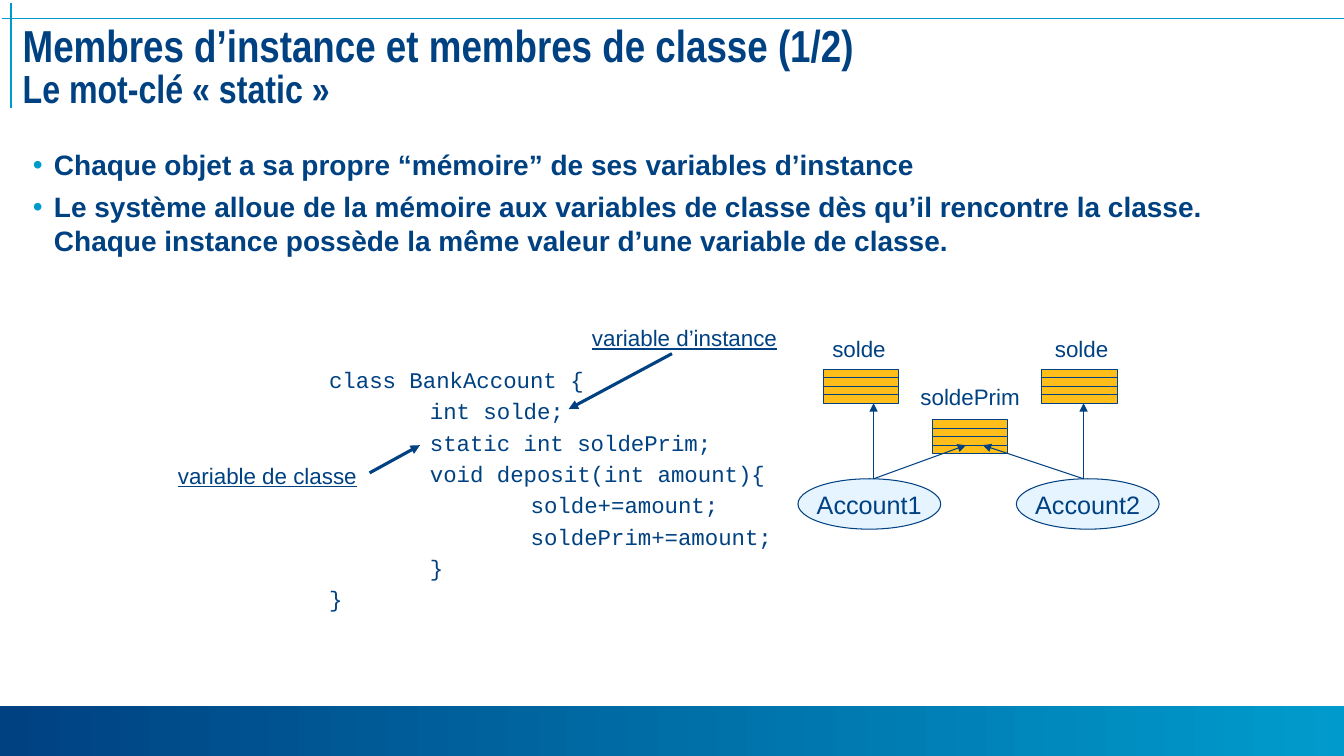
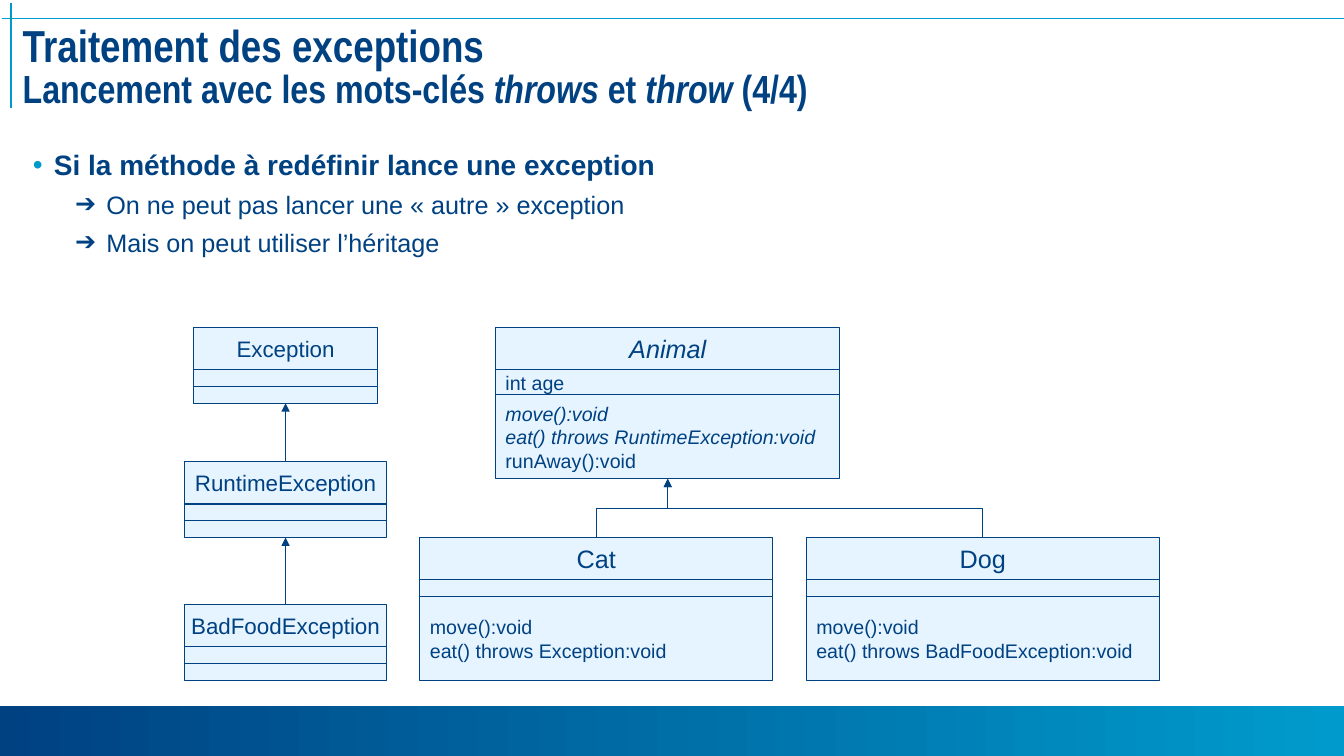
from lxml import etree
from pptx import Presentation
from pptx.dml.color import RGBColor
from pptx.enum.shapes import MSO_CONNECTOR, MSO_SHAPE
from pptx.enum.text import MSO_ANCHOR, MSO_AUTO_SIZE, PP_ALIGN
from pptx.oxml.ns import qn
from pptx.util import Inches, Pt

RECT, OVAL = MSO_SHAPE.RECTANGLE, MSO_SHAPE.OVAL
LINE, ELBOW = MSO_CONNECTOR.STRAIGHT, MSO_CONNECTOR.ELBOW
TOP, MID = MSO_ANCHOR.TOP, MSO_ANCHOR.MIDDLE
LEFT, MIDDLE = PP_ALIGN.LEFT, PP_ALIGN.CENTER
FIXED = MSO_AUTO_SIZE.NONE

NAVY, CYAN, PALE, GOLD = "004182", "009BCC", "E6F4FF", "FFBE19"
SANS, SLIM, MONO = "Arial", "Arial Narrow", "Courier New"
COLS, ROWS = 160, 90
BULLETS = [
    dict(mark="•", tint=CYAN, left=0.21, hang=0.21, size=20, bold=True, gap=6),
    dict(mark="➔", tint=NAVY, left=0.73, hang=0.31, size=18, bold=False, gap=5.4),
]


def hue(code):
    return RGBColor.from_string(code)


def grid(*cells):
    return [Inches(cell / 12) for cell in cells]


def write(para, text, size=16, font=SANS, bold=False, slant=False, under=False):
    for turn, part in enumerate(text.split("*")):
        if part:
            run = para.add_run()
            run.text = part
            face = run.font
            face.name, face.size, face.bold = font, Pt(size), bold
            face.italic = slant or turn % 2 == 1
            face.underline = under
            face.color.rgb = hue(NAVY)


def fresh(frame, gap=0, align=LEFT):
    first = frame.paragraphs[0]
    blank = not first.runs
    para = first if blank else frame.add_paragraph()
    para.space_before = Pt(0 if blank else gap)
    para.alignment = align
    return para


class Deck:
    def __init__(self):
        self.show = Presentation()
        self.show.slide_width, self.show.slide_height = grid(COLS, ROWS)
        self.plan = self.show.slide_layouts[1]
        title, body = self.plan.placeholders[0], self.plan.placeholders[1]
        self.place(title, 1.5, 2.5, 157.3, 12.1)
        self.place(body, 2.7, 17, 154.7, 61)
        self.slide = None

    def place(self, item, *cells):
        item.left, item.top, item.width, item.height = grid(*cells)

    def page(self, head, sub):
        first = self.slide is None
        self.slide = self.show.slides.add_slide(self.plan)
        if first:
            self.brand()
        frame = self.slide.shapes.title.text_frame
        frame.auto_size, frame.vertical_anchor = FIXED, TOP
        para = fresh(frame)
        para.line_spacing = 0.85
        write(para, head, 32, SLIM, True)
        para.add_line_break()
        etree.SubElement(para._p[-1], qn("a:rPr"), sz="3200")
        write(para, sub, 28, SLIM, True)

    def brand(self):
        band = self.shape(RECT, 0, 84.1, COLS, 5.9)
        band.line.fill.background()
        band.fill.gradient()
        band.fill.gradient_angle = 0
        for stop, code, spot in zip(band.fill.gradient_stops, (NAVY, CYAN), (0, 1)):
            stop.color.rgb, stop.position = hue(code), spot
        rule = self.line((0.2, 2.2), (COLS, 2.2), 1, CYAN, False)
        post = self.line((1.3, 0.4), (1.3, 12.8), 1, CYAN, False)
        for number, item in enumerate((band, rule, post), 100):
            item.element.xpath(".//p:cNvPr")[0].set("id", str(number))
            self.plan.shapes.element.append(item.element)

    def list(self, *items):
        frame = self.slide.placeholders[1].text_frame
        frame.auto_size, frame.vertical_anchor = FIXED, TOP
        for level, text in items:
            look = BULLETS[level]
            para = fresh(frame, look["gap"])
            para.level = level
            props = para._p.get_or_add_pPr()
            props.set("marL", str(Inches(look["left"])))
            props.set("indent", str(-Inches(look["hang"])))
            tint = etree.SubElement(props, qn("a:buClr"))
            etree.SubElement(tint, qn("a:srgbClr"), val=look["tint"])
            etree.SubElement(props, qn("a:buFont"), typeface=SANS)
            etree.SubElement(props, qn("a:buChar"), char=look["mark"])
            write(para, text, look["size"], bold=look["bold"])

    def shape(self, kind, *cells, fill=PALE, lines=(), size=14, align=LEFT):
        item = self.slide.shapes.add_shape(kind, *grid(*cells))
        item.shadow.inherit = False
        item.fill.solid()
        item.fill.fore_color.rgb = hue(fill)
        item.line.color.rgb = hue(NAVY)
        item.line.width = Pt(0.75)
        frame = item.text_frame
        frame.vertical_anchor, frame.word_wrap = MID, align == LEFT
        for text in lines:
            write(fresh(frame, align=align), text, size)
        return item

    def label(self, *cells, lines, gap=0, tabs=(), **look):
        frame = self.slide.shapes.add_textbox(*grid(*cells)).text_frame
        frame.word_wrap = False
        for text in lines:
            para = fresh(frame, gap)
            if tabs:
                stops = etree.SubElement(para._p.get_or_add_pPr(), qn("a:tabLst"))
                for spot in grid(*tabs):
                    etree.SubElement(stops, qn("a:tab"), pos=str(spot), algn="l")
            write(para, text, **look)

    def line(self, start, end, width=0.75, color=NAVY, arrow=True, kind=LINE):
        item = self.slide.shapes.add_connector(kind, *grid(*start, *end))
        item.line.color.rgb = hue(color)
        item.line.width = Pt(width)
        if arrow:
            stroke = item.line._get_or_add_ln()
            etree.SubElement(stroke, qn("a:tailEnd"), type="triangle")
        etree.SubElement(item.element.spPr, qn("a:effectLst"))
        return item

    def stack(self, x, y):
        for row in range(4):
            self.shape(RECT, x, y + row, 9, 1, fill=GOLD)

    def card(self, x, y, width, name, *parts, size=18):
        head = self.shape(RECT, x, y, width, 5, lines=[name], size=size, align=MIDDLE)
        last, y = head, y + 5
        for height, lines in parts:
            last = self.shape(RECT, x, y, width, height, lines=lines)
            y += height
        return head, last

    def join(self, child, parent):
        head, base = child[0], parent[1]
        above = self.above(head, base)
        item = self.line((0, 0), (0, 0), kind=LINE if above else ELBOW)
        item.begin_connect(head, 0)
        item.end_connect(base, 2)
        if not above:
            self.bend(item)

    def above(self, head, base):
        return abs(head.left + head.width / 2 - base.left - base.width / 2) < Inches(0.01)

    def bend(self, item):
        x1, y1, x2, y2 = item.begin_x, item.begin_y, item.end_x, item.end_y
        rise, span = abs(y1 - y2), abs(x1 - x2)
        item.left, item.top = (x1 + x2 - rise) // 2, (y1 + y2 - span) // 2
        item.width, item.height = rise, span
        turn = item.element.spPr.find(qn("a:xfrm"))
        back = x2 < x1
        turn.set("rot", str((90 if back else 270) * 60000))
        turn.set("flipH", str(int(back)))
        turn.set("flipV", "0")


def memory(deck):
    deck.page("Membres d’instance et membres de classe (1/2)", "Le mot-clé « static »")
    deck.list(
        (0, "Chaque objet a sa propre “mémoire” de ses variables d’instance"),
        (0, "Le système alloue de la mémoire aux variables de classe dès qu’il "
            "rencontre la classe. Chaque instance possède la même valeur d’une "
            "variable de classe."),
    )
    code = [
        "class BankAccount {",
        "\tint solde;",
        "\tstatic int soldePrim;",
        "\tvoid deposit(int amount){",
        "\t\tsolde+=amount;",
        "\t\tsoldePrim+=amount;",
        "\t}",
        "}",
    ]
    deck.label(38, 43, 55.3, 36.2, lines=code, gap=3.2, tabs=(12, 24), font=MONO)
    deck.label(69.3, 38, 24.5, 4.4, lines=["variable d’instance"], under=True)
    deck.label(20, 54.4, 23.8, 4.4, lines=["variable de classe"], under=True)
    for x, name in ((95, "Account1"), (121, "Account2")):
        deck.shape(OVAL, x, 57, 17, 6, lines=[name], size=18, align=MIDDLE)
    for x, y in ((98, 44), (124, 44), (111, 50)):
        deck.stack(x, y)
    for x, y, width, name in (
        (97.9, 39.3, 8.8, "solde"),
        (124.4, 39.3, 8.8, "solde"),
        (108.4, 45, 14.3, "soldePrim"),
    ):
        deck.label(x, y, width, 4.4, lines=[name])
    for x, shared in ((104, 115), (129, 117)):
        deck.line((x, 57), (x, 48))
        deck.line((x, 57), (shared, 53))
    deck.line((80, 42.1), (67.7, 48.7), 2.25)
    deck.line((44, 56.3), (50, 53), 2.25)


def errors(deck):
    deck.page("Traitement des exceptions",
              "Lancement avec les mots-clés *throws* et *throw* (4/4)")
    deck.list(
        (0, "Si la méthode à redéfinir lance une exception"),
        (1, "On ne peut pas lancer une « autre » exception"),
        (1, "Mais on peut utiliser l’héritage"),
    )
    animal = deck.card(
        59, 39, 41, "*Animal*",
        (3, ["int age"]),
        (10, ["*move():void*", "*eat() throws RuntimeException:void*", "runAway():void"]),
    )
    for x, name, error in ((96, "Dog", "BadFoodException"), (50, "Cat", "Exception")):
        calls = ["move():void", f"eat() throws {error}:void"]
        pet = deck.card(x, 64, 42, name, (2, []), (10, calls))
        deck.join(pet, animal)
    parent = None
    for x, y, width, name in (
        (23, 39, 22, "Exception"),
        (22, 55, 24, "RuntimeException"),
        (22, 72, 24, "BadFoodException"),
    ):
        card = deck.card(x, y, width, name, (2, []), (2, []), size=16)
        if parent:
            deck.join(card, parent)
        parent = card


def main():
    deck = Deck()
    memory(deck)
    errors(deck)
    deck.show.save("out.pptx")


if __name__ == "__main__":
    main()
